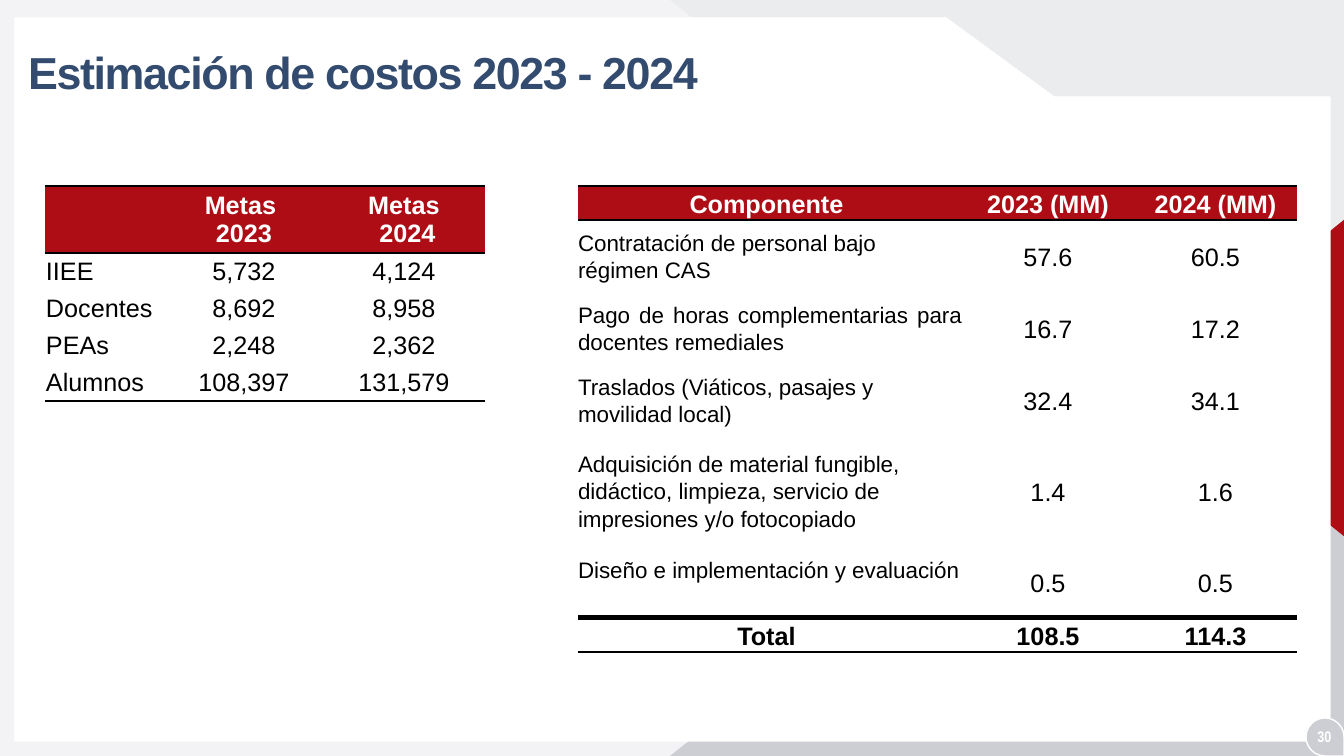
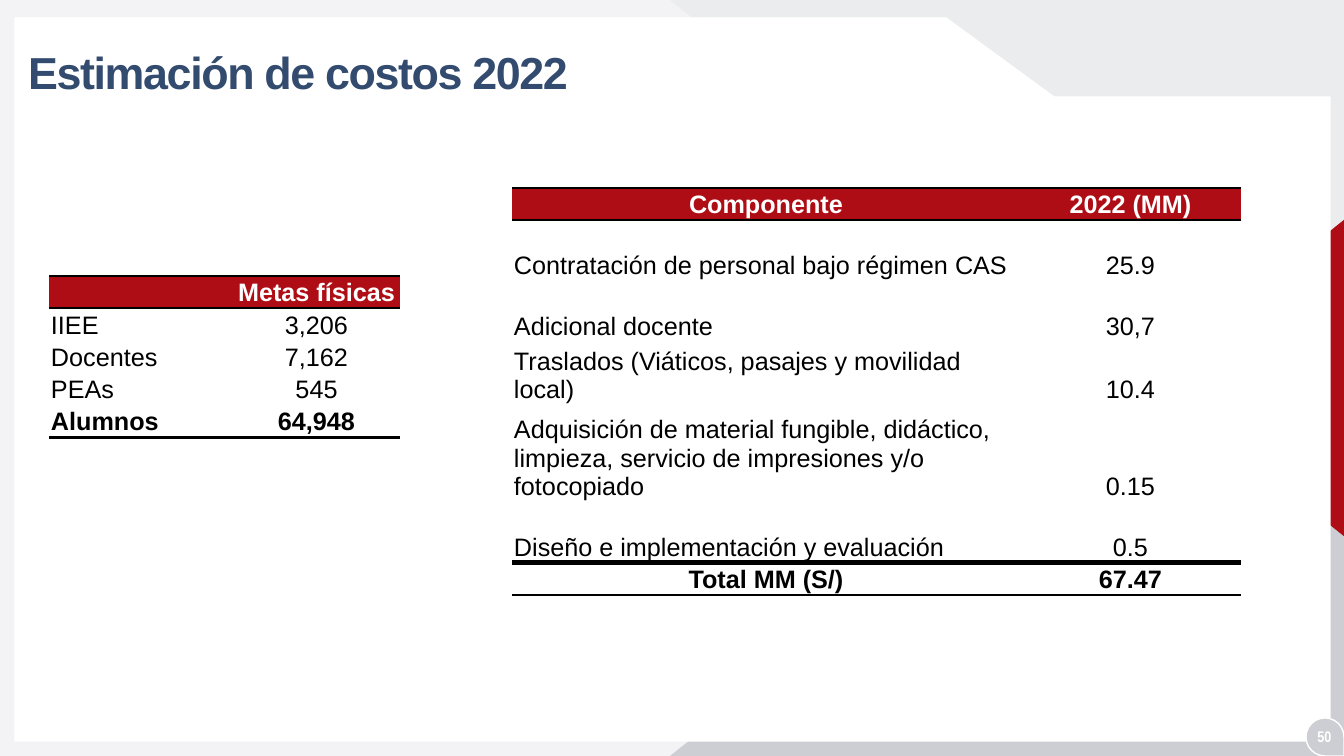
from dataclasses import dataclass

from lxml import etree
from pptx import Presentation
from pptx.dml.color import RGBColor
from pptx.enum.shapes import MSO_SHAPE
from pptx.enum.text import MSO_ANCHOR, PP_ALIGN
from pptx.oxml.ns import qn
from pptx.util import Emu, Pt

PAGE_WIDTH, PAGE_HEIGHT = 1344, 756
EMU_PER_PX = 12192000 / PAGE_WIDTH

RED = RGBColor(0xAF, 0x0D, 0x15)
NAVY = RGBColor(0x32, 0x4B, 0x6E)
WHITE = RGBColor(0xFF, 0xFF, 0xFF)
BLACK = RGBColor(0x00, 0x00, 0x00)
PALE_GREY = RGBColor(0xF3, 0xF3, 0xF5)
LIGHT_GREY = RGBColor(0xEB, 0xEC, 0xEE)
MID_GREY = RGBColor(0xCD, 0xCE, 0xD3)

FONT = "Arial"
NUMBER_FONT = "Arial Narrow"
PLAIN_TABLE_STYLE = "{2D5ABB26-0587-4C30-8999-92F81FD0307C}"

RECTANGLE = MSO_SHAPE.RECTANGLE
TRIANGLE = MSO_SHAPE.ISOSCELES_TRIANGLE
TEARDROP = MSO_SHAPE.TEAR
LEFT, CENTER, JUSTIFY = PP_ALIGN.LEFT, PP_ALIGN.CENTER, PP_ALIGN.JUSTIFY
MIDDLE, BOTTOM = MSO_ANCHOR.MIDDLE, MSO_ANCHOR.BOTTOM

PANEL_OUTLINE = [(15, 18), (946, 18), (1054, 97), (1330, 97), (1330, 741), (15, 741)]


@dataclass
class CellLook:
    """Margins are left, top, right, bottom in px."""
    margins: tuple
    anchor: int = BOTTOM
    label_size: int = 18
    line_spacing: float = 1.0


GOALS_LOOK = CellLook((1, 1, 1, 0), MIDDLE)
COMPONENTS_LOOK = CellLook((0, 0, 0, 0), MIDDLE, 16, 1.1)
COMPACT_LOOK = CellLook((2, 1, 2, 1))


def px(length):
    return Emu(round(length * EMU_PER_PX))


def add_span(para, text, size, color, bold=True, font=FONT):
    span = para.add_run()
    span.text = text
    span.font.name = font
    span.font.size = Pt(size)
    span.font.bold = bold
    span.font.color.rgb = color
    return span


def paint(shape, color, outline=None):
    shape.shadow.inherit = False
    shape.fill.solid()
    shape.fill.fore_color.rgb = color
    if outline is None:
        shape.line.fill.background()
    else:
        shape.line.color.rgb = outline
        shape.line.width = Pt(1)


def add_block(page, kind, box, color, outline=None, rotation=0):
    shape = page.shapes.add_shape(kind, *map(px, box))
    shape.rotation = rotation
    paint(shape, color, outline)
    return shape


def add_text_box(page, box, margin):
    """Return the first paragraph of a wrapped, vertically centred text box."""
    frame = page.shapes.add_textbox(*map(px, box)).text_frame
    frame.word_wrap = True
    frame.vertical_anchor = MIDDLE
    frame.margin_left = frame.margin_right = px(margin)
    frame.margin_top = frame.margin_bottom = 0
    return frame.paragraphs[0]


def add_backdrop(page):
    add_block(page, RECTANGLE, (0, 0, PAGE_WIDTH, PAGE_HEIGHT), PALE_GREY)
    half, height = PAGE_WIDTH // 2, 535
    upper = add_block(page, TRIANGLE, (half - 2, 0, half + 2, height), LIGHT_GREY)
    lower = add_block(page, TRIANGLE,
                      (half - 2, PAGE_HEIGHT - height, half + 2, height), MID_GREY)
    upper._element.spPr.xfrm.set("flipV", "1")
    for corner in (upper, lower):
        corner.adjustments[0] = 1
    add_block(page, TRIANGLE, (1087, 279, 318, 198), RED, rotation=270)
    builder = page.shapes.build_freeform(*PANEL_OUTLINE[0], scale=EMU_PER_PX)
    builder.add_line_segments(PANEL_OUTLINE[1:], close=True)
    paint(builder.convert_to_shape(), WHITE, WHITE)


def add_title(page, text):
    para = add_text_box(page, (18, 20, 935, 110), 10)
    para.line_spacing = 0.9
    span = add_span(para, text, 32, NAVY)
    span._r.get_or_add_rPr().set("spc", "-100")


def add_page_number(page, number):
    add_block(page, TEARDROP, (1306, 718, 38, 38), MID_GREY, WHITE, 90)
    para = add_text_box(page, (1301, 727, 47, 18), 0)
    para.alignment = CENTER
    add_span(para, number, 11, WHITE, font=NUMBER_FONT)


def add_rules(cell, top=0, bottom=0):
    """Draw black cell borders of the given widths in points."""
    properties = cell._tc.get_or_add_tcPr()
    rules = [(tag, width) for tag, width in (("a:lnT", top), ("a:lnB", bottom)) if width]
    for place, (tag, width) in enumerate(rules):
        rule = etree.Element(qn(tag), w=str(Pt(width)))
        fill = etree.SubElement(rule, qn("a:solidFill"))
        etree.SubElement(fill, qn("a:srgbClr"), val=str(BLACK))
        properties.insert(place, rule)


def fill_cell(cell, text, look, fill, color, size, bold, alignment):
    cell.fill.solid()
    cell.fill.fore_color.rgb = fill
    cell.vertical_anchor = look.anchor
    (cell.margin_left, cell.margin_top,
     cell.margin_right, cell.margin_bottom) = map(px, look.margins)
    frame = cell.text_frame
    for index, line in enumerate(text.split("\n")):
        para = frame.add_paragraph() if index else frame.paragraphs[0]
        para.alignment = alignment
        para.line_spacing = look.line_spacing
        if line:
            add_span(para, line, size, color, bold)


def add_cost_table(page, corner, widths, heights, rows, look,
                   has_total=False, bold_last=False):
    box = (*corner, sum(widths), sum(heights))
    table = page.shapes.add_table(len(rows), len(widths), *map(px, box)).table
    table.first_row = table.horz_banding = False
    table._tbl.tblPr.find(qn("a:tableStyleId")).text = PLAIN_TABLE_STYLE
    for column, width in zip(table.columns, widths):
        column.width = px(width)
    for row, height in zip(table.rows, heights):
        row.height = px(height)
    last = len(rows) - 1
    for y, row in enumerate(rows):
        header, total = y == 0, has_total and y == last
        for x, text in enumerate(row):
            cell = table.cell(y, x)
            label = x == 0 and not header and not total
            fill_cell(cell, text, look,
                      fill=RED if header else WHITE,
                      color=WHITE if header else BLACK,
                      size=look.label_size if label else 18,
                      bold=header or total or (bold_last and y == last),
                      alignment=LEFT if label else CENTER)
            add_rules(cell, top=2 if header else 4 if total else 0,
                      bottom=2 if y in (0, last) else 0)
    return table


def add_page(deck, title, number):
    page = deck.slides.add_slide(deck.slide_layouts[6])
    add_backdrop(page)
    add_title(page, title)
    add_page_number(page, number)
    return page


def build_two_year_page(deck):
    page = add_page(deck, "Estimación de costos 2023 - 2024", "30")
    add_cost_table(page, (45, 186), (120, 158, 162), (67, 37, 37, 37, 37), [
        ("", "Metas \n2023", "Metas\n 2024"),
        ("IIEE", "5,732", "4,124"),
        ("Docentes", "8,692", "8,958"),
        ("PEAs", "2,248", "2,362"),
        ("Alumnos", "108,397", "131,579"),
    ], GOALS_LOOK)
    components = add_cost_table(
        page, (578, 186), (384, 172, 163), (34, 72, 72, 72, 110, 72, 34), [
            ("Componente ", "2023 (MM)", "2024 (MM)"),
            ("Contratación de personal bajo régimen CAS", "57.6", "60.5"),
            ("Pago de horas complementarias para docentes remediales", "16.7", "17.2"),
            ("Traslados (Viáticos, pasajes y movilidad local)", "32.4", "34.1"),
            ("Adquisición de material fungible, didáctico, limpieza, "
             "servicio de impresiones y/o fotocopiado", "1.4", "1.6"),
            ("Diseño e implementación y evaluación", "0.5", "0.5"),
            ("Total ", "108.5", "114.3"),
        ], COMPONENTS_LOOK, has_total=True)
    components.cell(2, 0).text_frame.paragraphs[0].alignment = JUSTIFY
    components.cell(5, 0).margin_bottom = px(25)


def build_single_year_page(deck):
    page = add_page(deck, "Estimación de costos 2022", "50")
    add_cost_table(page, (49, 276), (184, 167), (31, 31, 31, 31, 31), [
        ("", "Metas físicas"),
        ("IIEE", "3,206"),
        ("Docentes", "7,162"),
        ("PEAs", "545"),
        ("Alumnos", "64,948"),
    ], COMPACT_LOOK, bold_last=True)
    add_cost_table(page, (512, 188), (508, 221), (32, 61, 61, 60, 97, 61, 32), [
        ("Componente", "2022 (MM)"),
        ("Contratación de personal bajo régimen CAS", "25.9"),
        ("Adicional docente", "30,7"),
        ("Traslados (Viáticos, pasajes y movilidad local)", "10.4"),
        ("Adquisición de material fungible, didáctico, limpieza, "
         "servicio de impresiones y/o fotocopiado", "0.15"),
        ("Diseño e implementación y evaluación", "0.5"),
        ("Total MM (S/)", "67.47"),
    ], COMPACT_LOOK, has_total=True)


def main():
    deck = Presentation()
    deck.slide_width, deck.slide_height = px(PAGE_WIDTH), px(PAGE_HEIGHT)
    build_two_year_page(deck)
    build_single_year_page(deck)
    deck.save("out.pptx")


if __name__ == "__main__":
    main()
